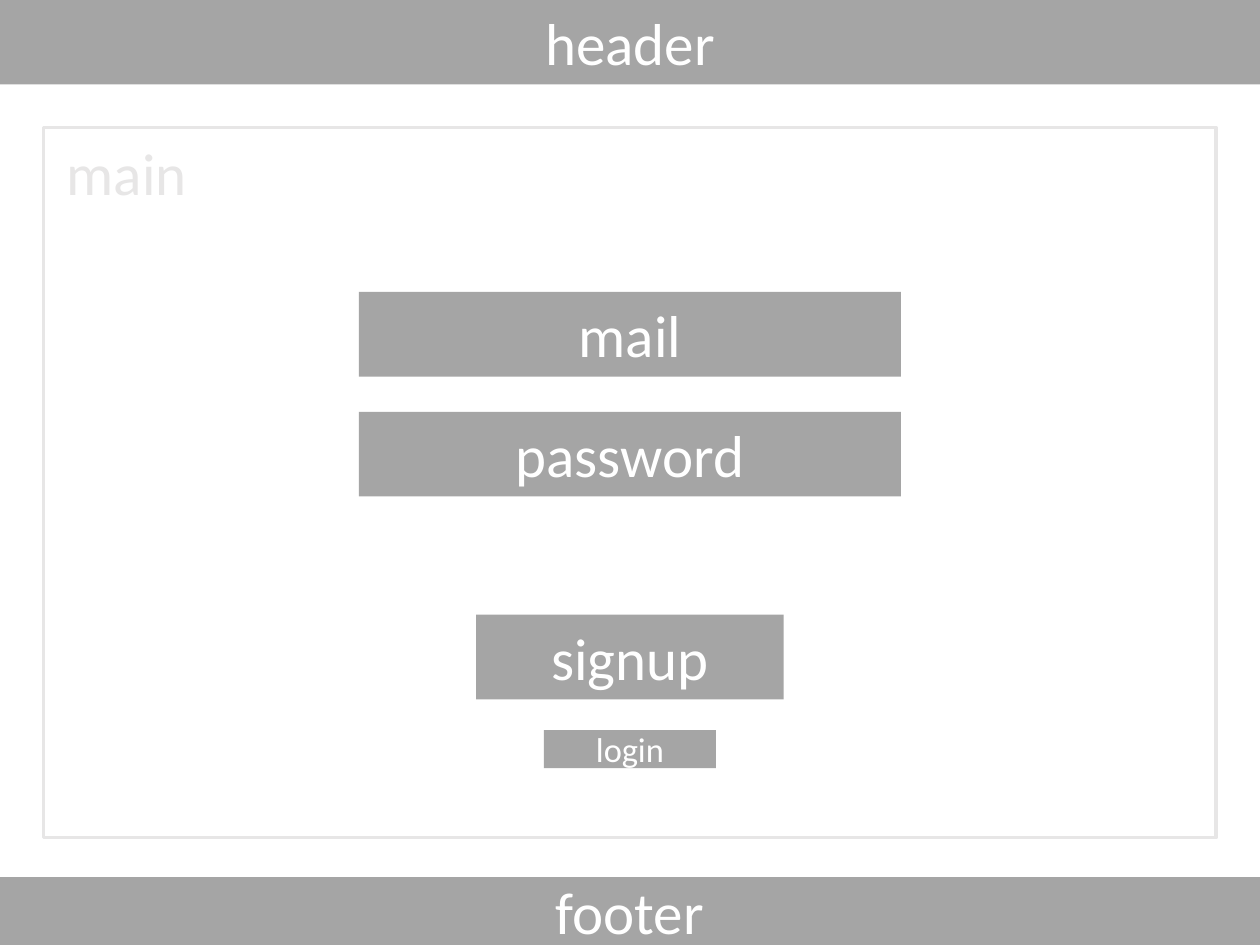
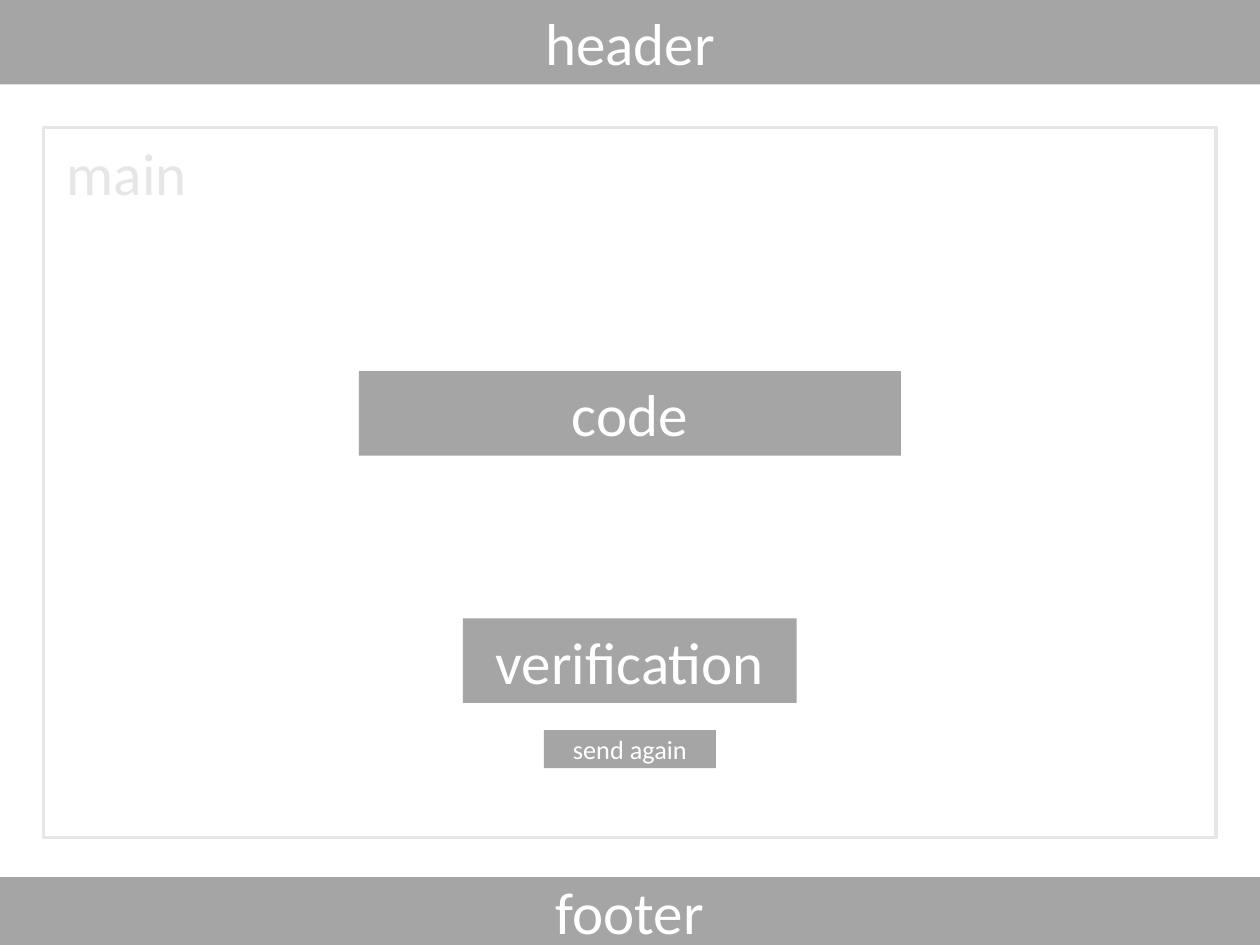
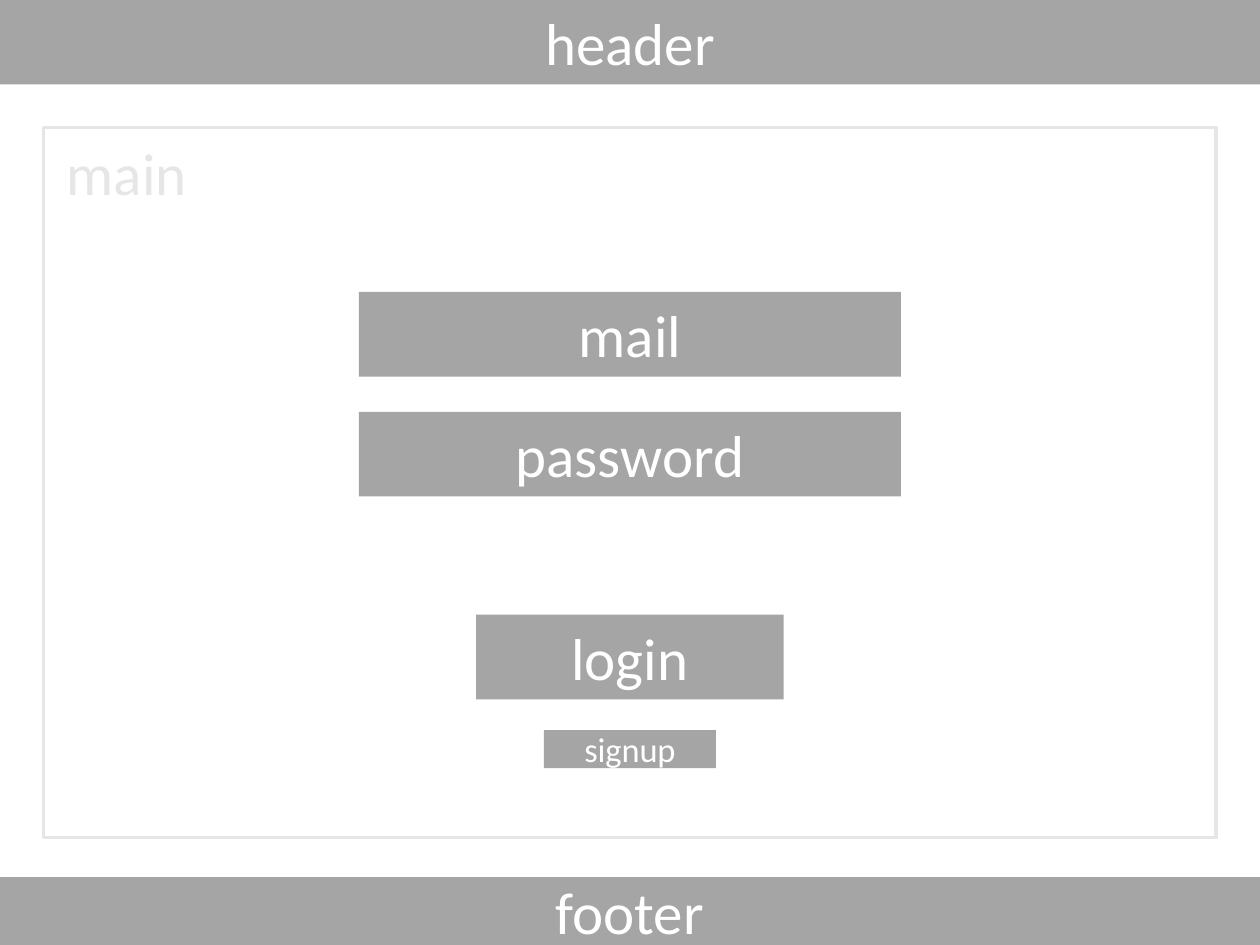
from dataclasses import dataclass

from pptx import Presentation
from pptx import util as u
from pptx.dml.color import RGBColor
from pptx.enum import shapes, text


@dataclass(frozen=True)
class Theme:
    """Colours, type and shared lengths (cm) of the wireframes."""
    block: RGBColor = RGBColor(0xA5, 0xA5, 0xA5)
    label: RGBColor = RGBColor(0xFF, 0xFF, 0xFF)
    outline: RGBColor = RGBColor(0xE7, 0xE6, 0xE6)
    font: str = "Calibri"
    body: float = 18
    small: float = 10.5
    tiny: float = 8
    width: float = 13.55
    height: float = 10.16
    row: float = 0.91
    footer: float = 0.73
    field: float = 5.83
    link: float = 1.85
    link_height: float = 0.41


T = Theme()


def add_rect(s, top, width, height):
    """Add a plain rectangle centred across the slide."""
    left = (T.width - width) / 2
    sp = s.shapes.add_shape(shapes.MSO_SHAPE.RECTANGLE,
                            u.Cm(left), u.Cm(top), u.Cm(width), u.Cm(height))
    sp.shadow.inherit = False
    return sp


def write(sp, words, size, color, align, anchor):
    """Write one line of text in a shape."""
    tf = sp.text_frame
    tf.word_wrap = True
    tf.vertical_anchor = anchor
    p = tf.paragraphs[0]
    p.alignment = align
    r = p.add_run()
    r.text = words
    r.font.name = T.font
    r.font.size = u.Pt(size)
    r.font.color.rgb = color


def add_block(s, words, top, width, height=T.row, size=T.body):
    """Add a filled block with a centred label."""
    sp = add_rect(s, top, width, height)
    sp.fill.solid()
    sp.fill.fore_color.rgb = T.block
    sp.line.fill.background()
    write(sp, words, size, T.label,
          text.PP_ALIGN.CENTER, text.MSO_ANCHOR.MIDDLE)


def add_main_area(s):
    """Add the outlined main area with its name in the corner."""
    sp = add_rect(s, 1.37, 12.61, 7.64)
    sp.fill.background()
    sp.line.color.rgb = T.outline
    sp.line.width = u.Pt(1)
    sp.text_frame.margin_top = u.Cm(0.1)
    write(sp, "main", T.body, T.outline,
          text.PP_ALIGN.LEFT, text.MSO_ANCHOR.TOP)


def add_page(prs):
    """Add a slide with the shared header, footer and main area."""
    s = prs.slides.add_slide(prs.slide_layouts[6])
    add_block(s, "header", 0, T.width)
    add_block(s, "footer", T.height - T.footer, T.width, T.footer)
    add_main_area(s)
    return s


def add_link(s, words, size=T.small):
    """Add the small secondary button."""
    add_block(s, words, 7.85, T.link, T.link_height, size)


def add_account_page(prs, action, other):
    """Add a mail and password form with its two buttons."""
    s = add_page(prs)
    add_block(s, action, 6.61, 3.31)
    add_link(s, other)
    for i, name in enumerate(("mail", "password")):
        add_block(s, name, 3.14 + 1.29 * i, T.field)


def add_verification_page(prs):
    """Add the form that asks for the code."""
    s = add_page(prs)
    add_block(s, "verification", 6.65, 3.59)
    add_link(s, "send again", T.tiny)
    add_block(s, "code", 3.99, T.field)


def main():
    """Build the three wireframes and save them."""
    prs = Presentation()
    prs.slide_width, prs.slide_height = u.Cm(T.width), u.Cm(T.height)
    add_account_page(prs, "signup", "login")
    add_verification_page(prs)
    add_account_page(prs, "login", "signup")
    prs.save("out.pptx")


main()
